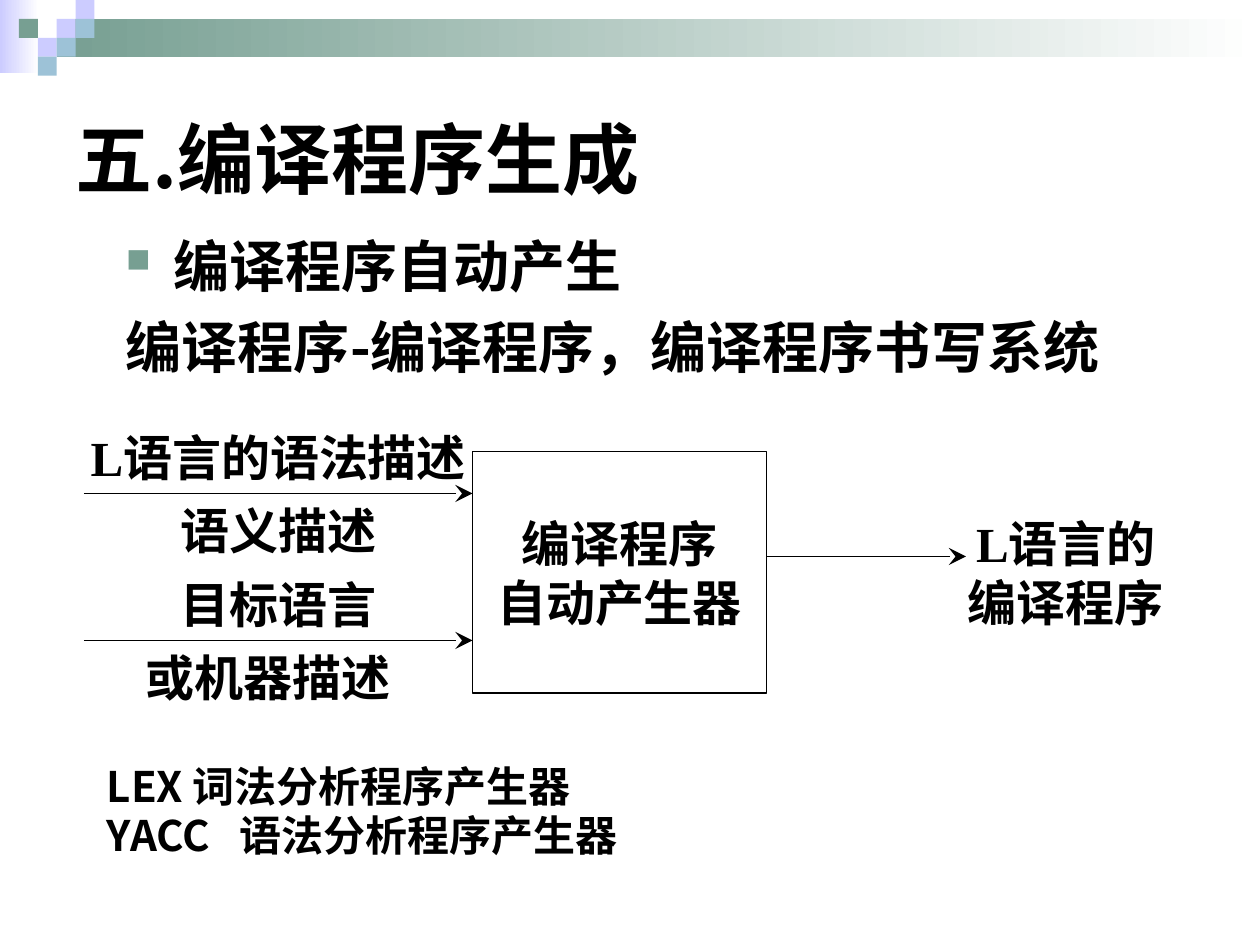
from lxml import etree
from pptx import Presentation, util as u
from pptx.dml.color import RGBColor
from pptx.enum import shapes, text
from pptx.oxml.ns import qn

PX = u.Inches(1) // 120
COLORS = {"ink": "000000", "paper": "FFFFFF", "green": "779F92",
          "lilac": "CCCCFF", "blue": "9DC2D7"}
SANS, SERIF = "Noto Sans CJK SC", "Times New Roman"
MIDDLE = text.MSO_ANCHOR.MIDDLE
CENTER = text.PP_ALIGN.CENTER


def color(name):
    return RGBColor.from_string(COLORS[name])


def add_rect(slide, box):
    shape = slide.shapes.add_shape(shapes.MSO_SHAPE.RECTANGLE, *(v * PX for v in box))
    shape.shadow.inherit = False
    shape.line.fill.background()
    return shape


def add_tile(slide, box, fill):
    shape = add_rect(slide, box)
    shape.fill.solid()
    shape.fill.fore_color.rgb = color(fill)


def add_fade(slide, box, fill):
    """Draw a bar that fades from its colour to white, left to right."""
    shape = add_rect(slide, box)
    shape.fill.gradient()
    shape.fill.gradient_angle = 0
    for stop, name in zip(shape.fill.gradient_stops, (fill, "paper")):
        stop.color.rgb = color(name)


def write(shape, lines, size=28, font=SERIF, align=CENTER, anchor=MIDDLE,
          wrap=False, side=0, pitch=None, gap=0):
    """Fill a shape with one paragraph per line; pitch is the line height in points."""
    frame = shape.text_frame
    frame.word_wrap = wrap
    frame.vertical_anchor = anchor
    frame.margin_left = frame.margin_right = side * PX
    frame.margin_top = frame.margin_bottom = 6 * PX
    for index, line in enumerate(lines):
        paragraph = frame.add_paragraph() if index else frame.paragraphs[0]
        paragraph.alignment = align
        if pitch:
            paragraph.line_spacing = u.Pt(pitch)
        if index and gap:
            paragraph.space_before = u.Pt(gap)
        run = paragraph.add_run()
        run.text = line
        run.font.size, run.font.bold, run.font.name = u.Pt(size), True, font
        run.font.color.rgb = color("ink")
        etree.SubElement(run.font._element, qn("a:ea"), typeface=SANS)
    return frame.paragraphs


def add_text(slide, box, lines, **style):
    return write(slide.shapes.add_textbox(*(v * PX for v in box)), lines, **style)


def add_arrow(slide, x1, x2, y):
    arrow = slide.shapes.add_connector(
        shapes.MSO_CONNECTOR.STRAIGHT, x1 * PX, y * PX, x2 * PX, y * PX)
    arrow.line.color.rgb = color("ink")
    arrow.line.width = u.Pt(1)
    etree.SubElement(arrow.line._get_or_add_ln(), qn("a:tailEnd"),
                     type="stealth", w="lg", len="lg")
    etree.SubElement(arrow._element.spPr, qn("a:effectLst"))


def add_header(slide, x, y, tile=18):
    add_fade(slide, (x, y, 37, 70), "lilac")
    add_fade(slide, (x + 3 * tile, y + tile, 1146, 2 * tile), "green")
    tiles = {"lilac": [(3, 1), (4, 0), (2, 2)],
             "blue": [(4, 1), (3, 2), (2, 3)],
             "green": [(1, 1)]}
    for fill, cells in tiles.items():
        for column, row in cells:
            add_tile(slide, (x + column * tile, y + row * tile, tile, tile), fill)


def add_body(slide, box, lines):
    """Write hanging paragraphs, the first one with a square bullet."""
    paragraphs = add_text(slide, box, lines, size=32, font=SANS, align=None,
                          anchor=text.MSO_ANCHOR.TOP, wrap=True, side=12,
                          pitch=38.5, gap=8)
    for paragraph in paragraphs:
        properties = paragraph._p.get_or_add_pPr()
        properties.set("marL", str(45 * PX))
        properties.set("indent", str(-45 * PX))
    properties = paragraphs[0]._p.pPr
    bullet_color = etree.SubElement(properties, qn("a:buClr"))
    etree.SubElement(bullet_color, qn("a:srgbClr"), val=COLORS["green"])
    etree.SubElement(properties, qn("a:buSzPct"), val="60000")
    etree.SubElement(properties, qn("a:buChar"), char="■")


def add_tools(slide, box, lines):
    """List the tools; a tab stop sets the gap after the longer name."""
    paragraphs = add_text(slide, box, lines, size=24, font=SANS, align=None,
                          anchor=text.MSO_ANCHOR.TOP, wrap=True, side=12,
                          pitch=28)
    stops = etree.SubElement(paragraphs[-1]._p.get_or_add_pPr(), qn("a:tabLst"))
    etree.SubElement(stops, qn("a:tab"), pos=str(126 * PX), algn="l")


def add_input(slide, x, y, above, below, shift=10):
    """Draw an input arrow with one label above it and one below."""
    add_text(slide, (x - 5, y, 380, 70), [above])
    add_text(slide, (x + shift, y + 70, 350, 70), [below])
    add_arrow(slide, x, x + 370, y + 70)


def add_diagram(slide, x, y):
    generator = add_rect(slide, (x + 370, y + 30, 280, 230))
    generator.fill.background()
    generator.line.color.rgb = color("ink")
    generator.line.width = u.Pt(1)
    write(generator, ["编译程序", "自动产生器"], pitch=33.7)
    add_input(slide, x, y, "L语言的语法描述", "语义描述")
    add_input(slide, x, y + 140, "目标语言", "或机器描述", shift=0)
    add_arrow(slide, x + 650, x + 840, y + 130)
    add_text(slide, (x + 830, y + 50, 210, 190), ["L语言的", "编译程序"], pitch=33.7)


def main():
    presentation = Presentation()
    presentation.slide_width, presentation.slide_height = 1200 * PX, 900 * PX
    slide = presentation.slides.add_slide(presentation.slide_layouts[6])
    add_header(slide, 0, 0)
    add_text(slide, (60, 60, 1080, 180), ["五.编译程序生成"], size=44, font=SANS,
             align=None, wrap=True, side=12)
    add_body(slide, (108, 214, 983, 156),
             ["编译程序自动产生", "编译程序-编译程序，编译程序书写系统"])
    add_tools(slide, (90, 720, 1020, 180),
              ["LEX 词法分析程序产生器", "YACC\t语法分析程序产生器"])
    add_diagram(slide, 80, 400)
    presentation.save("out.pptx")


if __name__ == "__main__":
    main()
